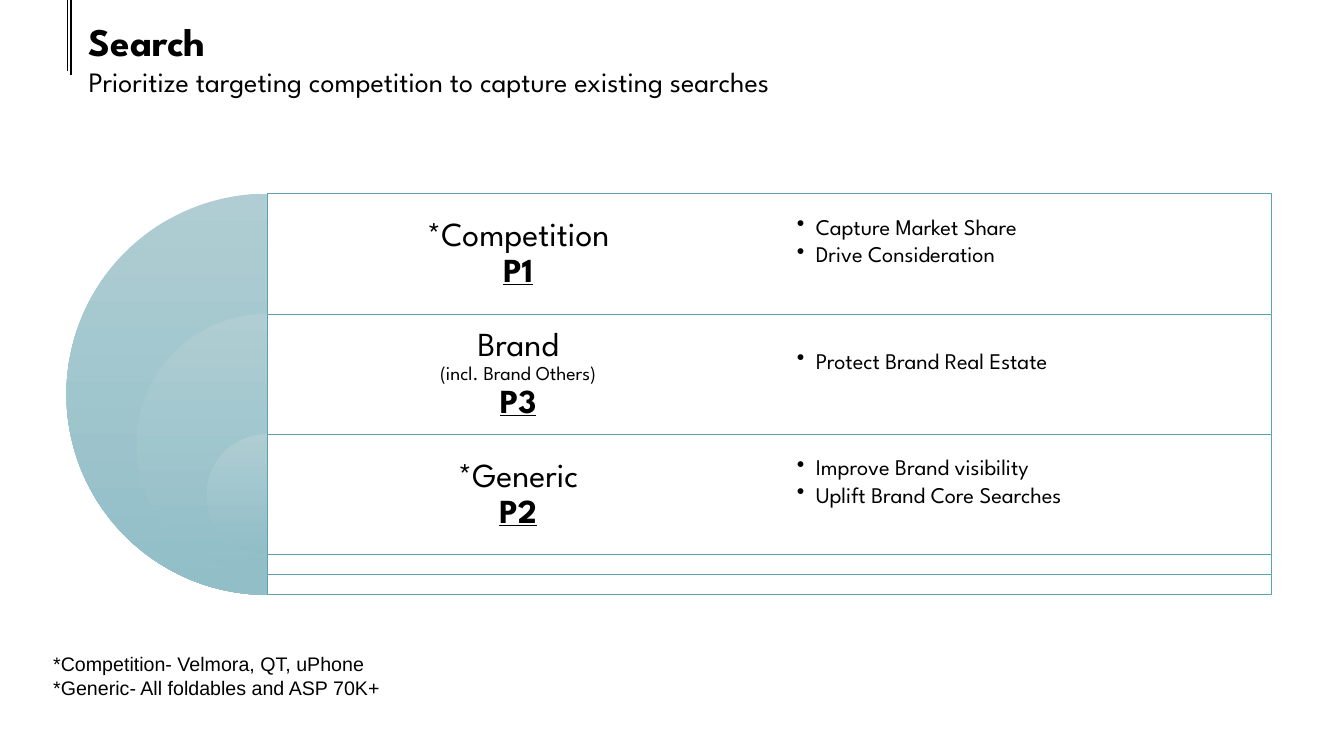
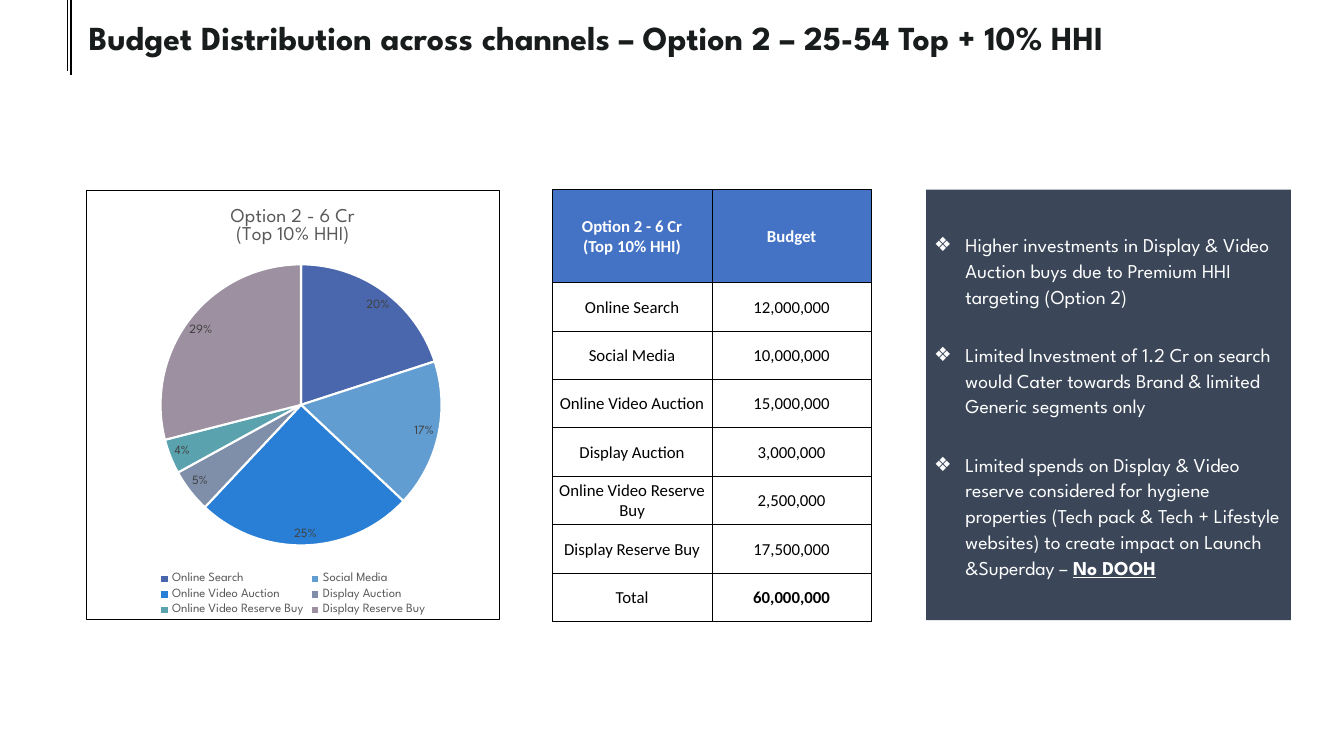
from pptx import Presentation
from pptx.chart.data import CategoryChartData
from pptx.dml.color import RGBColor
from pptx.enum.chart import XL_CHART_TYPE, XL_LABEL_POSITION, XL_LEGEND_POSITION
from pptx.enum.shapes import MSO_CONNECTOR, MSO_SHAPE
from pptx.enum.text import MSO_ANCHOR, MSO_AUTO_SIZE, PP_ALIGN
from pptx.oxml import parse_xml
from pptx.oxml.ns import nsdecls, qn
from pptx.util import Cm, Pt
from lxml import etree

BLACK, WHITE, INK = "000000", "FFFFFF", "191C1C"
TEAL, NAVY, HEADER_BLUE, GREY = "5AA2AE", "3B4759", "4472C4", "595959"
HEADING_FONT, TABLE_FONT, NOTE_FONT = "League Spartan", "Calibri", "Arial"


def colour(hex_code):
    return RGBColor.from_string(hex_code)


def write(para, text, font=HEADING_FONT, size=14, fill=BLACK, bold=False, underline=False,
          align=PP_ALIGN.LEFT, spacing=1.0, after=0, bullet=None, indent=0):
    """Add a formatted span to a paragraph; a bullet gives it a hanging indent."""
    if bullet:
        properties = para._p.get_or_add_pPr()
        properties.set("marL", str(Cm(indent)))
        properties.set("indent", str(-Cm(indent)))
        bullet_colour = etree.SubElement(properties, qn("a:buClr"))
        etree.SubElement(bullet_colour, qn("a:srgbClr")).set("val", fill)
        etree.SubElement(properties, qn("a:buChar")).set("char", bullet)
    para.alignment = align
    para.line_spacing = spacing
    para.space_before, para.space_after = Pt(0), Pt(after)
    span = para.add_run()
    span.text = text
    span.font.name, span.font.size = font, Pt(size)
    span.font.bold, span.font.underline = bold, underline
    span.font.color.rgb = colour(fill)


deck = Presentation()
deck.slide_width, deck.slide_height = Cm(33.87), Cm(19.05)

# Shared frame: two vertical rules and the title
headings = [
    (5, [("Search", dict(size=28, bold=True)),
         ("Prioritize targeting competition to capture existing searches", dict(size=20))]),
    (1, [("Budget Distribution across channels – Option 2 – 25-54 Top + 10% HHI",
          dict(size=24, bold=True, fill=INK))]),
]
for layout, lines in headings:
    page = deck.slides.add_slide(deck.slide_layouts[layout])
    for x, length, weight in [(1.78, 1.88, 1.5), (1.7, 1.78, 0.5)]:
        rule = page.shapes.add_connector(MSO_CONNECTOR.STRAIGHT, Cm(x), Cm(0), Cm(x), Cm(length))
        rule.line.color.rgb, rule.line.width = colour(BLACK), Pt(weight)
        etree.SubElement(rule._element.spPr, qn("a:effectLst"))
    title = page.shapes.title
    title.left, title.top, title.width, title.height = Cm(1.98), Cm(0.3), Cm(30.38), Cm(3.48)
    frame = title.text_frame
    frame.vertical_anchor, frame.auto_size = MSO_ANCHOR.TOP, MSO_AUTO_SIZE.NONE
    for number, (text, style) in enumerate(lines):
        write(frame.add_paragraph() if number else frame.paragraphs[0], text, **style)
search_page, budget_page = deck.slides

# Search: nested half circles with one band per segment
BAND_LEFT, BAND_TOP, ROW_HEIGHT, COLUMN_WIDTH = 6.73, 4.88, 3.03, 12.66
LARGEST, SHRINK = 10.11, 3.54
priority = ("P1", "P3", "P2")
segments = [
    ([("*Competition", 24)], ["Capture Market Share", "Drive Consideration"]),
    ([("Brand", 24), ("(incl. Brand Others)", 14)], ["Protect Brand Real Estate"]),
    ([("*Generic", 24)], ["Improve Brand visibility", "Uplift Brand Core Searches"]),
]
for row, (names, goals) in enumerate(segments):
    top, size = BAND_TOP + row * ROW_HEIGHT, LARGEST - row * SHRINK
    half = search_page.shapes.add_shape(
        MSO_SHAPE.PIE, Cm(BAND_LEFT - size / 2), Cm(top), Cm(size), Cm(size))
    half.adjustments[0], half.adjustments[1] = 54, 162
    half.fill.gradient()
    half.fill.gradient_angle = 270
    for stop, shade in zip(half.fill.gradient_stops, ("AFCDD3", "91BEC7")):
        stop.color.rgb = colour(shade)
    half.line.fill.background()

    band = search_page.shapes.add_shape(
        MSO_SHAPE.RECTANGLE, Cm(BAND_LEFT), Cm(top), Cm(2 * COLUMN_WIDTH), Cm(size))
    band.fill.solid()
    band.fill.fore_color.rgb = colour(WHITE)
    band.line.color.rgb, band.line.width = colour(TEAL), Pt(0.5)
    half.shadow.inherit = band.shadow.inherit = False

    label_style = dict(align=PP_ALIGN.CENTER, spacing=0.9)
    label = [(name, dict(size=points, **label_style)) for name, points in names]
    label.append((priority[row], dict(size=24, bold=True, underline=True, **label_style)))
    goal_style = dict(size=16, spacing=0.9, after=2.4, bullet="•", indent=0.48)
    columns = [(label, 0.25, 0), ([(goal, goal_style) for goal in goals], 0.69, 0.61)]
    for column, (lines, side, bottom) in enumerate(columns):
        box = search_page.shapes.add_textbox(
            Cm(BAND_LEFT + column * COLUMN_WIDTH), Cm(top), Cm(COLUMN_WIDTH), Cm(ROW_HEIGHT))
        frame = box.text_frame
        frame.word_wrap, frame.vertical_anchor = True, MSO_ANCHOR.MIDDLE
        frame.margin_left = frame.margin_right = Cm(side)
        frame.margin_top, frame.margin_bottom = Cm(0), Cm(bottom)
        for number, (text, style) in enumerate(lines):
            write(frame.add_paragraph() if number else frame.paragraphs[0], text, **style)

# Search: footnotes
footnote = search_page.shapes.add_textbox(Cm(1.09), Cm(16.31), Cm(14.4), Cm(1.45)).text_frame
footnote.word_wrap = True
write(footnote.paragraphs[0], "*Competition- Velmora, QT, uPhone", font=NOTE_FONT)
write(footnote.add_paragraph(), "*Generic- All foldables and ASP 70K+", font=NOTE_FONT)

# Budget: the three blocks share top and height
BLOCK_TOP, BLOCK_HEIGHT = Cm(4.78), Cm(10.85)
channels = [
    ("Online Search", 20, "12,000,000", "4A66AC"),
    ("Social Media", 17, "10,000,000", "629DD1"),
    ("Online Video Auction", 25, "15,000,000", "297FD5"),
    ("Display Auction", 5, "3,000,000", "7F8FA9"),
    ("Online Video Reserve Buy", 4, "2,500,000", "5AA2AE"),
    ("Display Reserve Buy", 29, "17,500,000", "9D90A0"),
]
option = ["Option 2 - 6 Cr", "(Top 10% HHI)"]

# Budget: pie chart
data = CategoryChartData()
data.categories = [name for name, *_ in channels]
data.add_series("Series 1", [share for _, share, *_ in channels])
chart = budget_page.shapes.add_chart(
    XL_CHART_TYPE.PIE, Cm(2.16), BLOCK_TOP, Cm(10.44), BLOCK_HEIGHT, data).chart
chart.font.name, chart.font.size = HEADING_FONT, Pt(10)
chart.font.color.rgb = colour(BLACK)
chart.has_title = True
heading = chart.chart_title.text_frame
write(heading.paragraphs[0], option[0], fill=GREY, align=PP_ALIGN.CENTER)
write(heading.add_paragraph(), option[1], fill=GREY, align=PP_ALIGN.CENTER)
chart.has_legend = True
chart.legend.position, chart.legend.include_in_layout = XL_LEGEND_POSITION.BOTTOM, False
chart.legend.font.name, chart.legend.font.size = HEADING_FONT, Pt(9)
chart.legend.font.color.rgb = colour(GREY)

plot = chart.plots[0]
plot.vary_by_categories = True
plot.has_data_labels = True
labels = plot.data_labels
labels.show_percentage, labels.show_value = True, False
labels.number_format, labels.number_format_is_linked = "0%", False
labels.position = XL_LABEL_POSITION.BEST_FIT
labels.font.name, labels.font.size = HEADING_FONT, Pt(9)
labels.font.color.rgb = colour("404040")
for index, (*_, shade) in enumerate(channels):
    wedge = plot.series[0].points[index].format
    wedge.fill.solid()
    wedge.fill.fore_color.rgb = colour(shade)
    wedge.line.color.rgb, wedge.line.width = colour(WHITE), Pt(1.5)

# Chart frame and plot position
chart_part = chart.element.find(qn("c:chart"))
chart_part.addnext(parse_xml(
    f'<c:spPr {nsdecls("c", "a")}><a:solidFill><a:srgbClr val="{WHITE}"/></a:solidFill>'
    f'<a:ln w="{Pt(0.75)}"><a:solidFill><a:srgbClr val="{BLACK}"/></a:solidFill></a:ln></c:spPr>'))
plot_area = chart_part.find(qn("c:plotArea"))
for old_layout in plot_area.findall(qn("c:layout")):
    plot_area.remove(old_layout)
layout = etree.Element(qn("c:layout"))
manual = etree.SubElement(layout, qn("c:manualLayout"))
for tag, value in [("layoutTarget", "inner"), ("xMode", "edge"), ("yMode", "edge"),
                   ("x", "0.18"), ("y", "0.17"), ("w", "0.68"), ("h", "0.66")]:
    etree.SubElement(manual, qn(f"c:{tag}")).set("val", value)
plot_area.insert(0, layout)

# Budget: table
rows = [("\n".join(option), "Budget")]
rows += [(name, budget) for name, _, budget, _ in channels]
rows.append(("Total", "60,000,000"))
table = budget_page.shapes.add_table(
    len(rows), 2, Cm(13.92), BLOCK_TOP, Cm(8.04), BLOCK_HEIGHT).table
table.horz_banding = False
for column in table.columns:
    column.width = Cm(4.02)
for row, texts in enumerate(rows):
    is_header = row == 0
    table.rows[row].height = Cm(2.34 if is_header else 1.22)
    for column, text in enumerate(texts):
        cell = table.cell(row, column)
        cell.vertical_anchor = MSO_ANCHOR.MIDDLE
        cell.margin_left = cell.margin_right = cell.margin_top = Cm(0.03)
        cell.margin_bottom = Cm(0)
        for side in ("lnL", "lnR", "lnT", "lnB"):
            cell._tc.get_or_add_tcPr().append(parse_xml(
                f'<a:{side} {nsdecls("a")} w="{Pt(0.5)}"><a:solidFill>'
                f'<a:srgbClr val="{BLACK}"/></a:solidFill></a:{side}>'))
        cell.fill.solid()
        cell.fill.fore_color.rgb = colour(HEADER_BLUE if is_header else WHITE)
        is_total = row == len(rows) - 1 and column == 1
        for number, line in enumerate(text.split("\n")):
            frame = cell.text_frame
            write(frame.add_paragraph() if number else frame.paragraphs[0], line,
                  font=TABLE_FONT, size=12, fill=WHITE if is_header else BLACK,
                  bold=is_header or is_total, align=PP_ALIGN.CENTER)

# Budget: remarks panel
panel = budget_page.placeholders[1]
panel.left, panel.top, panel.width, panel.height = Cm(23.34), BLOCK_TOP, Cm(9.19), BLOCK_HEIGHT
panel.fill.solid()
panel.fill.fore_color.rgb = colour(NAVY)
frame = panel.text_frame
frame.vertical_anchor, frame.auto_size = MSO_ANCHOR.MIDDLE, MSO_AUTO_SIZE.NONE
frame.margin_left = frame.margin_right = Cm(0.2)
remarks = [
    "Higher investments in Display & Video Auction buys due to Premium HHI targeting (Option 2)",
    "Limited Investment of 1.2 Cr on search would Cater towards Brand & limited Generic "
    "segments only",
    "Limited spends on Display & Video reserve considered for hygiene properties (Tech pack & "
    "Tech + Lifestyle websites) to create impact on Launch &Superday – ",
]
remark_style = dict(fill=WHITE, spacing=1.1, after=23)
for number, remark in enumerate(remarks):
    para = frame.add_paragraph() if number else frame.paragraphs[0]
    write(para, remark, bullet="❖", indent=0.79, **remark_style)
write(para, "No DOOH", bold=True, underline=True, **remark_style)

deck.save("out.pptx")
